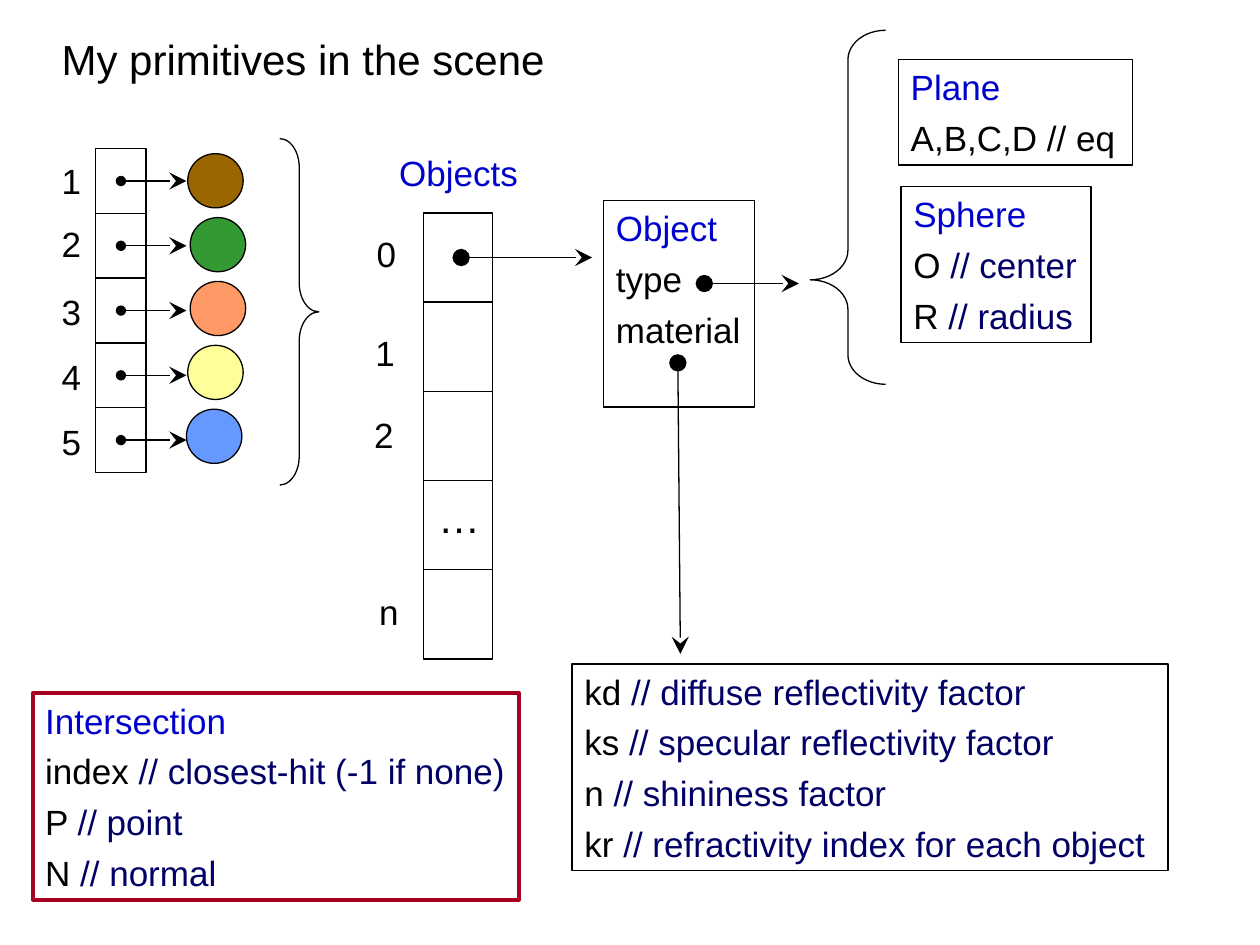
import pptx
import pptx.util
import pptx.dml.color
import pptx.enum.shapes
import pptx.enum.text
import pptx.oxml
import pptx.oxml.ns
from lxml import etree

RGBColor = pptx.dml.color.RGBColor
SHAPES = pptx.enum.shapes.MSO_SHAPE
BLACK = RGBColor(0, 0, 0)
HEADING = RGBColor(0x00, 0x00, 0xCC)
COMMENT = RGBColor(0x00, 0x00, 0x66)
CRIMSON = RGBColor(0xA5, 0x00, 0x21)
BALLS = [RGBColor(0x99, 0x66, 0x00), RGBColor(0x33, 0x99, 0x33),
         RGBColor(0xFF, 0x99, 0x66), RGBColor(0xFF, 0xFF, 0x99),
         RGBColor(0x66, 0x99, 0xFF)]

# The slide is a grid of 100 columns by 75 rows of square cells.
COLUMNS, ROWS = 100, 75


def cells(count):
    return pptx.util.Inches(count * 10 / COLUMNS)


def add_outline(page, kind, box, fill=None, color=BLACK, weight=0.75):
    shape = page.shapes.add_shape(kind, *map(cells, box))
    shape.shadow.inherit = False
    if fill is None:
        shape.fill.background()
    else:
        shape.fill.solid()
        shape.fill.fore_color.rgb = fill
    shape.line.color.rgb = color
    shape.line.width = pptx.util.Pt(weight)
    return shape


def write_lines(shape, lines, size=20, wrap=False):
    """Each line is a list of (text, colour) spans."""
    frame = shape.text_frame
    frame.word_wrap = wrap
    fit = pptx.enum.text.MSO_AUTO_SIZE
    frame.auto_size = fit.NONE if wrap else fit.SHAPE_TO_FIT_TEXT
    frame.vertical_anchor = pptx.enum.text.MSO_ANCHOR.TOP
    for index, spans in enumerate(lines):
        para = frame.add_paragraph() if index else frame.paragraphs[0]
        para.alignment = pptx.enum.text.PP_ALIGN.LEFT
        if index:
            para.space_before = pptx.util.Pt(5)
        para.font.name = "Arial"
        para.font.size = pptx.util.Pt(size)
        for text, color in spans:
            span = para.add_run()
            span.text = text
            span.font.color.rgb = color


def add_label(page, box, text, color=BLACK, size=20):
    write_lines(page.shapes.add_textbox(*map(cells, box)), [[(text, color)]], size)


def add_pointer(page, start, end, dot="lg"):
    """Draw a line from a dot to a stealth arrowhead."""
    line = page.shapes.add_connector(pptx.enum.shapes.MSO_CONNECTOR.STRAIGHT,
                                     *map(cells, start + end))
    line.line.color.rgb = BLACK
    line.line.width = pptx.util.Pt(0.75)
    outline = line.line._get_or_add_ln()
    for tag, kind, size in (("a:headEnd", "oval", dot),
                            ("a:tailEnd", "stealth", "lg")):
        mark = etree.SubElement(outline, pptx.oxml.ns.qn(tag))
        mark.set("type", kind)
        mark.set("w", size)
        mark.set("len", size)
    etree.SubElement(line._element.spPr, pptx.oxml.ns.qn("a:effectLst"))


def add_brace(page, kind, box, curl, tip):
    brace = add_outline(page, kind, box)
    brace.adjustments[0] = curl
    brace.adjustments[1] = tip


def add_card(page, box, heading, fields, wrap=False, **outline):
    """Draw a record: an optional heading, then (name, comment) fields."""
    lines = [[(heading, HEADING)]] if heading else []
    for name, comment in fields:
        spans = [(name, BLACK)]
        if comment:
            spans = [(name + " ", BLACK), ("// " + comment, COMMENT)]
        lines.append(spans)
    write_lines(add_outline(page, SHAPES.RECTANGLE, box, **outline), lines, wrap=wrap)


def add_column(page, box, count):
    """Draw a column of equal slots and return their tops and height."""
    left, top, width, height = box
    slot = height / count
    tops = [top + index * slot for index in range(count)]
    for slot_top in tops:
        add_outline(page, SHAPES.RECTANGLE, (left, slot_top, width, slot))
    return tops, slot


def add_scene_list(page, box):
    left, top, width, height = box
    tops, slot = add_column(page, (left, top, 4, height), len(BALLS))
    ball_lefts = [14.9, 15.1, 15.1, 14.9, 14.8]
    label_tops = [12.2, 17.2, 22.6, 27.7, 32.9]
    for index, slot_top in enumerate(tops):
        middle = slot_top + slot / 2
        add_pointer(page, (left + 2, middle), (left + 7.2, middle), dot="med")
        ball_top = top + 0.4 + index * 5.07
        add_outline(page, SHAPES.OVAL, (ball_lefts[index], ball_top, 4.4, 4.3),
                    fill=BALLS[index])
        add_label(page, (left - 3.7, label_tops[index], 3.5, 4.4), str(index + 1))
    add_brace(page, SHAPES.RIGHT_BRACE,
              (left + width - 3.1, top - 0.8, 3.1, height + 1.8), 0.74, 0.5)


def add_object_array(page, box):
    left, top, width, height = box
    add_label(page, (left - 2.9, top - 5.4, 11.4, 4.4), "Objects", HEADING)
    tops, slot = add_column(page, box, 5)
    for text, shift, label_top in (("0", 4.7, 18), ("1", 4.8, 25.8),
                                   ("2", 4.9, 32.3), ("n", 4.5, 46.4)):
        add_label(page, (left - shift, label_top, 3.5, 4.4), text)
    add_label(page, (left + 0.2, tops[3] + 0.4, 5.3, 5), "…", size=24)
    middle = top + slot / 2
    add_pointer(page, (left + 3, middle), (left + 13.4, middle))


def add_object_record(page, box):
    left, top, width, height = box
    add_card(page, box, "Object", [("type", ""), ("material", "")], wrap=True)
    add_pointer(page, (left + 8, top + 6.6), (left + 15.5, top + 6.6))
    add_pointer(page, (left + 5.9, top + 12.9), (left + 6.1, top + 36))


def add_primitive_types(page, box):
    left, top, width, height = box
    add_brace(page, SHAPES.LEFT_BRACE, (left, top, 6, height), 0.39, 0.705)
    add_card(page, (left + 7, top + 2.3, 18.6, 8.4), "Plane",
             [("A,B,C,D // eq", "")])
    add_card(page, (left + 7.2, top + 12.4, 15.1, 12.4), "Sphere",
             [("O", "center"), ("R", "radius")])


def main():
    deck = pptx.Presentation()
    deck.slide_width, deck.slide_height = cells(COLUMNS), cells(ROWS)
    page = deck.slides.add_slide(deck.slide_layouts[6])
    add_label(page, (3.9, 2.2, 42, 5), "My primitives in the scene", size=24)
    add_scene_list(page, (7.6, 11.8, 17.7, 25.7))
    add_object_array(page, (33.6, 16.9, 5.5, 35.4))
    add_object_record(page, (47.9, 15.9, 12, 16.4))
    add_primitive_types(page, (64.3, 2.4, 25.2, 28.1))
    add_card(page, (45.4, 52.7, 47.3, 16.4), None,
             [("kd", "diffuse reflectivity factor"),
              ("ks", "specular reflectivity factor"),
              ("n", "shininess factor"),
              ("kr", "refractivity index for each object")], wrap=True)
    add_card(page, (2.6, 55, 38.6, 16.4), "Intersection",
             [("index", "closest-hit (-1 if none)"),
              ("P", "point"), ("N", "normal")], color=CRIMSON, weight=2.25)
    deck.save("out.pptx")


if __name__ == "__main__":
    main()
